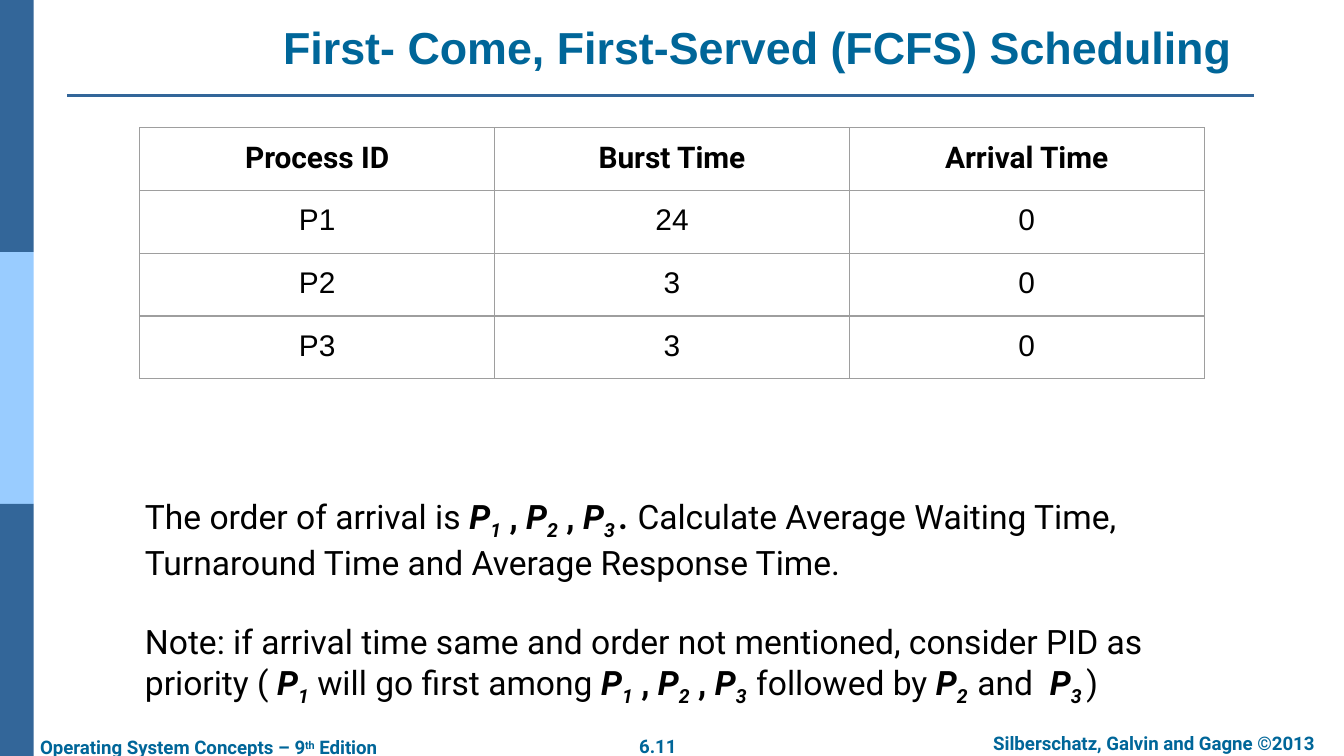
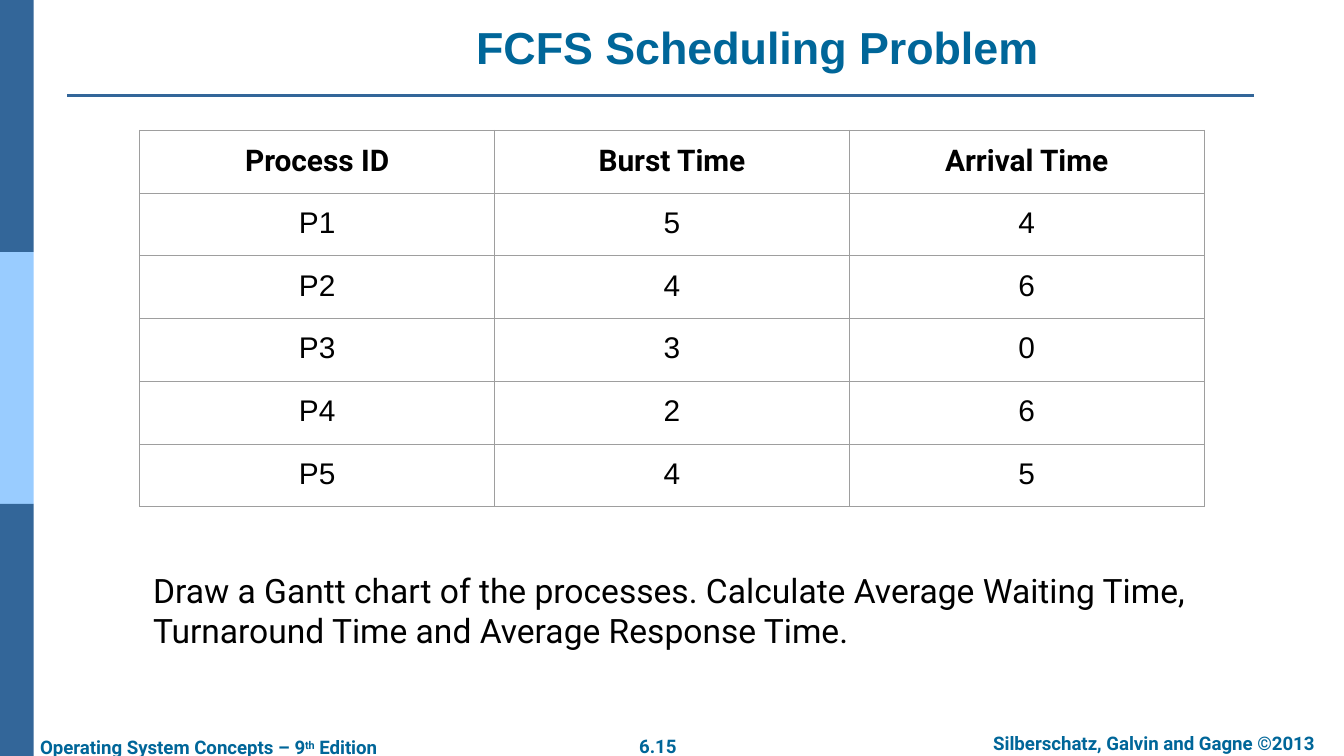
import pptx
import pptx.util
import pptx.dml.color
import pptx.enum.shapes
import pptx.enum.text
import pptx.oxml
import pptx.oxml.ns
from dataclasses import dataclass

Pt = pptx.util.Pt
Align = pptx.enum.text.PP_ALIGN


@dataclass(frozen=True)
class Theme:
    dark: str = "336699"
    light: str = "99CCFF"
    teal: str = "006699"
    ink: str = "000000"
    grid: str = "9E9E9E"
    head: str = "Arial"
    text: str = "Roboto"
    title: int = 24
    body: int = 18
    cell: int = 16
    foot: int = 10


THEME = Theme()
WIDE, HIGH = 720, 405
BAND = 18
RULE = (36, 672, 51)
TITLE = (90.72, 15.84, 630, 27.36)
LEFT, COL, ROW = 74.88, 190.08, 30.24
PAD = 7.2
GAP = 21

HEADS = ("Process ID", "Burst Time", "Arrival Time")
EDITION = [("Operating System Concepts – 9", "b"), ("th", "b^"), (" Edition", "b")]
CREDIT = [("Silberschatz, Galvin and Gagne ©2013", "b")]


def proc(num, tail=""):
    return [("P", "bi"), (num + tail, "bi_")]


COMMA = [(" , ", "b")]

ORDER = [
    ("The order of arrival is ", ""),
    *proc("1"), *COMMA, *proc("2"), *COMMA, *proc("3", " "),
    (". ", "bi"),
    ("Calculate Average Waiting Time, Turnaround Time and Average Response Time.", ""),
]
NOTE = [
    ("Note: if arrival time same and order not mentioned, consider PID as priority ( ", ""),
    *proc("1"),
    (" will go first among ", ""),
    *proc("1"), *COMMA, *proc("2"), *COMMA, *proc("3", "  "),
    ("followed by ", ""),
    *proc("2", "  "),
    ("and  ", ""),
    *proc("3", " "),
    (")", ""),
]
TASK = [("Draw a Gantt chart of the processes. Calculate Average Waiting Time, "
         "Turnaround Time and Average Response Time.", "")]

SLIDES = [
    {
        "title": "First- Come, First-Served (FCFS) Scheduling",
        "page": "6.11",
        "top": 68.4,
        "rows": [("P1", 24, 0), ("P2", 3, 0), ("P3", 3, 0)],
        "box": (70.56, 258.48, 570.24, 122),
        "text": [ORDER, NOTE],
    },
    {
        "title": "FCFS Scheduling Problem",
        "page": "6.15",
        "top": 69.84,
        "rows": [("P1", 5, 4), ("P2", 4, 6), ("P3", 3, 0), ("P4", 2, 6), ("P5", 4, 5)],
        "box": (74.88, 298.08, 570.24, 52.56),
        "text": [TASK],
    },
]


def rgb(code):
    return pptx.dml.color.RGBColor.from_string(code)


def style(run, face, size, color, marks=""):
    font = run.font
    font.name, font.size = face, Pt(size)
    font.color.rgb = rgb(color)
    font.bold, font.italic = "b" in marks, "i" in marks
    shift = 30000 if "^" in marks else -25000 if "_" in marks else 0
    if shift:
        run._r.get_or_add_rPr().set("baseline", str(shift))


def add_text(slide, box, paras, size, color, align=Align.LEFT, pad=PAD):
    frame = slide.shapes.add_textbox(*map(Pt, box)).text_frame
    frame.word_wrap = True
    frame.margin_top = frame.margin_bottom = Pt(pad)
    for num, parts in enumerate(paras):
        para = frame.add_paragraph() if num else frame.paragraphs[0]
        para.alignment = align
        para.space_before = Pt(GAP if num else 0)
        for words, marks in parts:
            run = para.add_run()
            run.text = words
            style(run, THEME.text, size, color, marks)


def add_frame(slide, page):
    third = HIGH / 3
    for num, color in enumerate((THEME.dark, THEME.light, THEME.dark)):
        band = slide.shapes.add_shape(
            pptx.enum.shapes.MSO_SHAPE.RECTANGLE,
            0, Pt(num * third), Pt(BAND), Pt(third))
        band.shadow.inherit = False
        band.fill.solid()
        band.fill.fore_color.rgb = rgb(color)
        band.line.fill.background()
    start, end, y = map(Pt, RULE)
    rule = slide.shapes.add_connector(
        pptx.enum.shapes.MSO_CONNECTOR.STRAIGHT, start, y, end, y)
    rule.line.color.rgb = rgb(THEME.dark)
    rule.line.width = Pt(1.5)
    pptx.oxml.ns.qn("a:effectLst")
    rule._element.spPr.append(pptx.oxml.parse_xml(
        f'<a:effectLst {pptx.oxml.ns.nsdecls("a")}/>'))
    feet = [
        ((334.8, 390.24, 35.28, 14.4), [(page, "b")], Align.CENTER),
        ((511.2, 388.8, 213.84, 14.4), CREDIT, Align.CENTER),
        ((14.4, 390.96, 208.08, 14.4), EDITION, Align.LEFT),
    ]
    for box, parts, align in feet:
        add_text(slide, box, [parts], THEME.foot, THEME.teal, align, PAD / 2)


def add_title(slide, words):
    title = slide.shapes.title
    title.left, title.top, title.width, title.height = map(Pt, TITLE)
    frame = title.text_frame
    frame.text = words
    frame.auto_size = pptx.enum.text.MSO_AUTO_SIZE.NONE
    frame.vertical_anchor = pptx.enum.text.MSO_ANCHOR.BOTTOM
    para = frame.paragraphs[0]
    para.alignment = Align.CENTER
    style(para.runs[0], THEME.head, THEME.title, THEME.teal, "b")


def edge(cell):
    props = cell._tc.get_or_add_tcPr()
    for side in ("lnL", "lnR", "lnT", "lnB"):
        props.append(pptx.oxml.parse_xml(
            f'<a:{side} {pptx.oxml.ns.nsdecls("a")} w="{Pt(0.75)}"><a:solidFill>'
            f'<a:srgbClr val="{THEME.grid}"/></a:solidFill></a:{side}>'))


def add_grid(slide, top, rows):
    data = [HEADS, *rows]
    table = slide.shapes.add_table(
        len(data), len(HEADS), Pt(LEFT), Pt(top),
        Pt(COL * len(HEADS)), Pt(ROW * len(data))).table
    table.first_row = table.horz_banding = False
    for col in table.columns:
        col.width = Pt(COL)
    for r, row in enumerate(data):
        table.rows[r].height = Pt(ROW)
        face, marks = (THEME.head, "") if r else (THEME.text, "b")
        for c, value in enumerate(row):
            cell = table.cell(r, c)
            edge(cell)
            cell.fill.background()
            cell.margin_top = cell.margin_bottom = Pt(PAD)
            cell.margin_left = cell.margin_right = Pt(PAD)
            para = cell.text_frame.paragraphs[0]
            para.text = str(value)
            para.alignment = Align.CENTER
            style(para.runs[0], face, THEME.cell, THEME.ink, marks)


def main():
    deck = pptx.Presentation()
    deck.slide_width, deck.slide_height = Pt(WIDE), Pt(HIGH)
    for item in SLIDES:
        slide = deck.slides.add_slide(deck.slide_layouts[5])
        add_frame(slide, item["page"])
        add_title(slide, item["title"])
        add_grid(slide, item["top"], item["rows"])
        add_text(slide, item["box"], item["text"], THEME.body, THEME.ink)
    deck.save("out.pptx")


if __name__ == "__main__":
    main()
